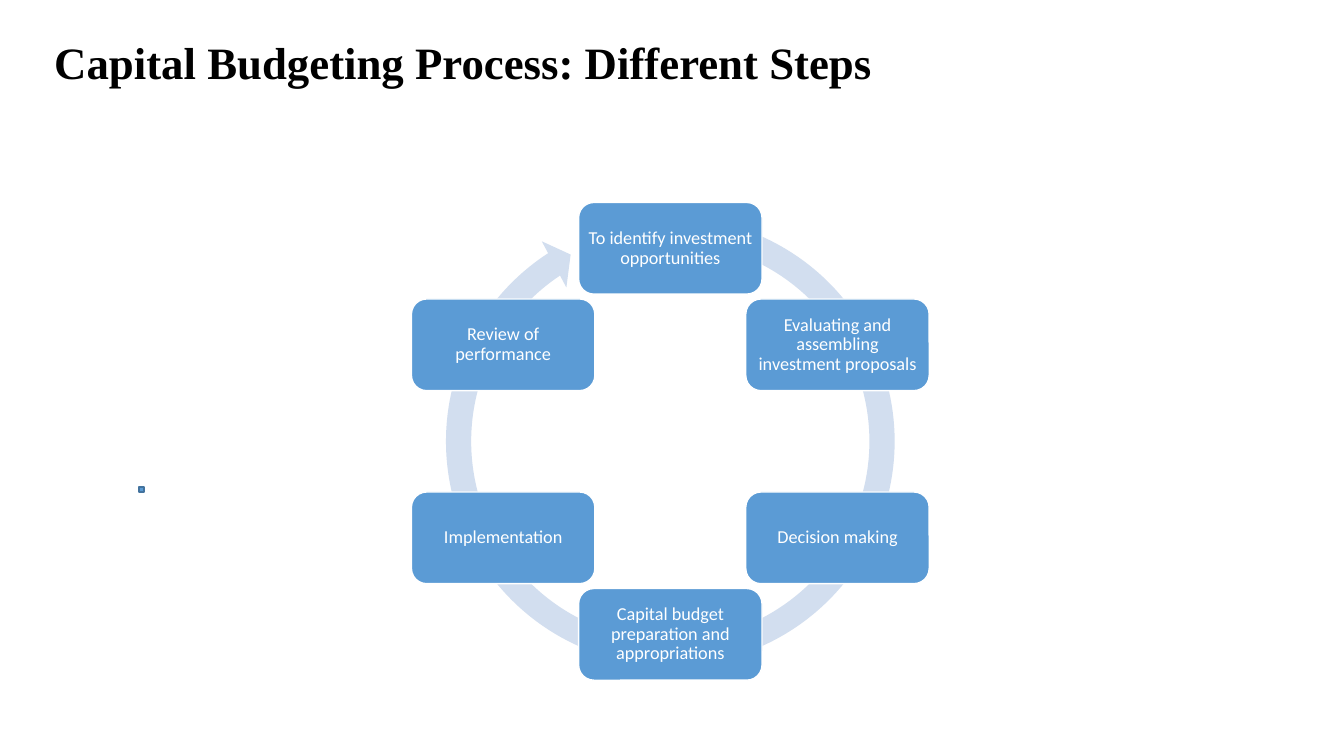
"""Build the capital budgeting cycle slide on a 160 by 90 grid."""
from dataclasses import dataclass
from math import cos, radians, sin

from pptx import Presentation
from pptx.dml.color import RGBColor
from pptx.enum.shapes import MSO_SHAPE
from pptx.enum.text import MSO_ANCHOR, PP_ALIGN
from pptx.util import Inches, Pt

RECT, ROUND_RECT = MSO_SHAPE.RECTANGLE, MSO_SHAPE.ROUNDED_RECTANGLE
CIRCULAR_ARROW = MSO_SHAPE.CIRCULAR_ARROW
MIDDLE = MSO_ANCHOR.MIDDLE
LEFT, CENTER = PP_ALIGN.LEFT, PP_ALIGN.CENTER

WIDTH, HEIGHT = Inches(40 / 3), Inches(7.5)
COLS, ROWS = 160, 90
CYCLE_X, CYCLE_Y, CYCLE_RADIUS = 79.8, 52.54, 22.98
STEP_W, STEP_H, RING_SIZE = 21.84, 10.92, 56.64
RING_ADJUSTMENTS = (0.053, 3.126, 142.021, 171.423, 0.055)
STEPS = (
    "To identify investment opportunities",
    "Evaluating and assembling investment proposals",
    "Decision making",
    "Capital budget preparation and appropriations",
    "Implementation",
    "Review of performance",
)


@dataclass(frozen=True)
class Theme:
    """Colours and text formats of the slide."""
    blue: RGBColor = RGBColor.from_string("5B9BD5")
    edge: RGBColor = RGBColor.from_string("43739E")
    ring: RGBColor = RGBColor.from_string("D2DEEF")
    white: RGBColor = RGBColor.from_string("FFFFFF")
    black: RGBColor = RGBColor.from_string("000000")
    title_size: Pt = Pt(32)
    step_size: Pt = Pt(13)
    line_width: Pt = Pt(1)


THEME = Theme()
TITLE_FONT = {"name": "Times New Roman", "size": THEME.title_size, "bold": True}
STEP_FONT = {"name": "Calibri", "size": THEME.step_size}
STEP_MARGINS = {f"margin_{side}": Inches(0.05)
                for side in ("left", "top", "right", "bottom")}


@dataclass(frozen=True)
class Box:
    """A rectangle in grid columns and rows."""
    x: float
    y: float
    w: float
    h: float

    def emu(self) -> tuple[int, ...]:
        """Return left, top, width and height in EMU."""
        col, row = WIDTH / COLS, HEIGHT / ROWS
        return (round(self.x * col), round(self.y * row),
                round(self.w * col), round(self.h * row))


def centred(x: float, y: float, w: float, h: float) -> Box:
    """Return a box around a centre point."""
    return Box(x - w / 2, y - h / 2, w, h)


def apply(target, formats: dict) -> None:
    """Set each format value on the target."""
    for name, value in formats.items():
        setattr(target, name, value)


def add_shape(shapes, kind, box: Box, fill: RGBColor, line: RGBColor | None = None):
    """Add a filled shape, outlined when a line colour is given."""
    sp = shapes.add_shape(kind, *box.emu())
    sp.shadow.inherit = False
    sp.fill.solid()
    sp.fill.fore_color.rgb = fill
    if line is None:
        sp.line.fill.background()
    else:
        sp.line.color.rgb = line
        sp.line.width = THEME.line_width
    return sp


def write(sp, text: str, font: dict, color: RGBColor, align, margins: dict) -> None:
    """Write one formatted paragraph into a shape."""
    tf = sp.text_frame
    apply(tf, {"word_wrap": True, "vertical_anchor": MIDDLE, **margins})
    p = tf.paragraphs[0]
    apply(p, {"alignment": align, "line_spacing": 0.9})
    r = p.add_run()
    r.text = text
    apply(r.font, font)
    r.font.color.rgb = color


def add_cycle(shapes) -> None:
    """Draw the ring arrow and the steps spaced evenly around it."""
    ring = add_shape(shapes, CIRCULAR_ARROW,
                     centred(CYCLE_X, CYCLE_Y, RING_SIZE, RING_SIZE), THEME.ring)
    for i, value in enumerate(RING_ADJUSTMENTS):
        ring.adjustments[i] = value
    for i, text in enumerate(STEPS):
        angle = radians(360 * i / len(STEPS))
        box = centred(CYCLE_X + CYCLE_RADIUS * sin(angle),
                      CYCLE_Y - CYCLE_RADIUS * cos(angle), STEP_W, STEP_H)
        sp = add_shape(shapes, ROUND_RECT, box, THEME.blue, THEME.white)
        write(sp, text, STEP_FONT, THEME.white, CENTER, STEP_MARGINS)


def main() -> None:
    """Build and save the slide."""
    prs = Presentation()
    prs.slide_width, prs.slide_height = WIDTH, HEIGHT
    s = prs.slides.add_slide(prs.slide_layouts[6])
    title = s.shapes.add_textbox(*Box(5.28, 0, 137.52, 15.36).emu())
    write(title, "Capital Budgeting Process: Different Steps",
          TITLE_FONT, THEME.black, LEFT, {})
    add_shape(s.shapes, RECT, Box(16.56, 57.96, 0.6, 0.6), THEME.blue, THEME.edge)
    add_cycle(s.shapes.add_group_shape().shapes)
    prs.save("out.pptx")


if __name__ == "__main__":
    main()
